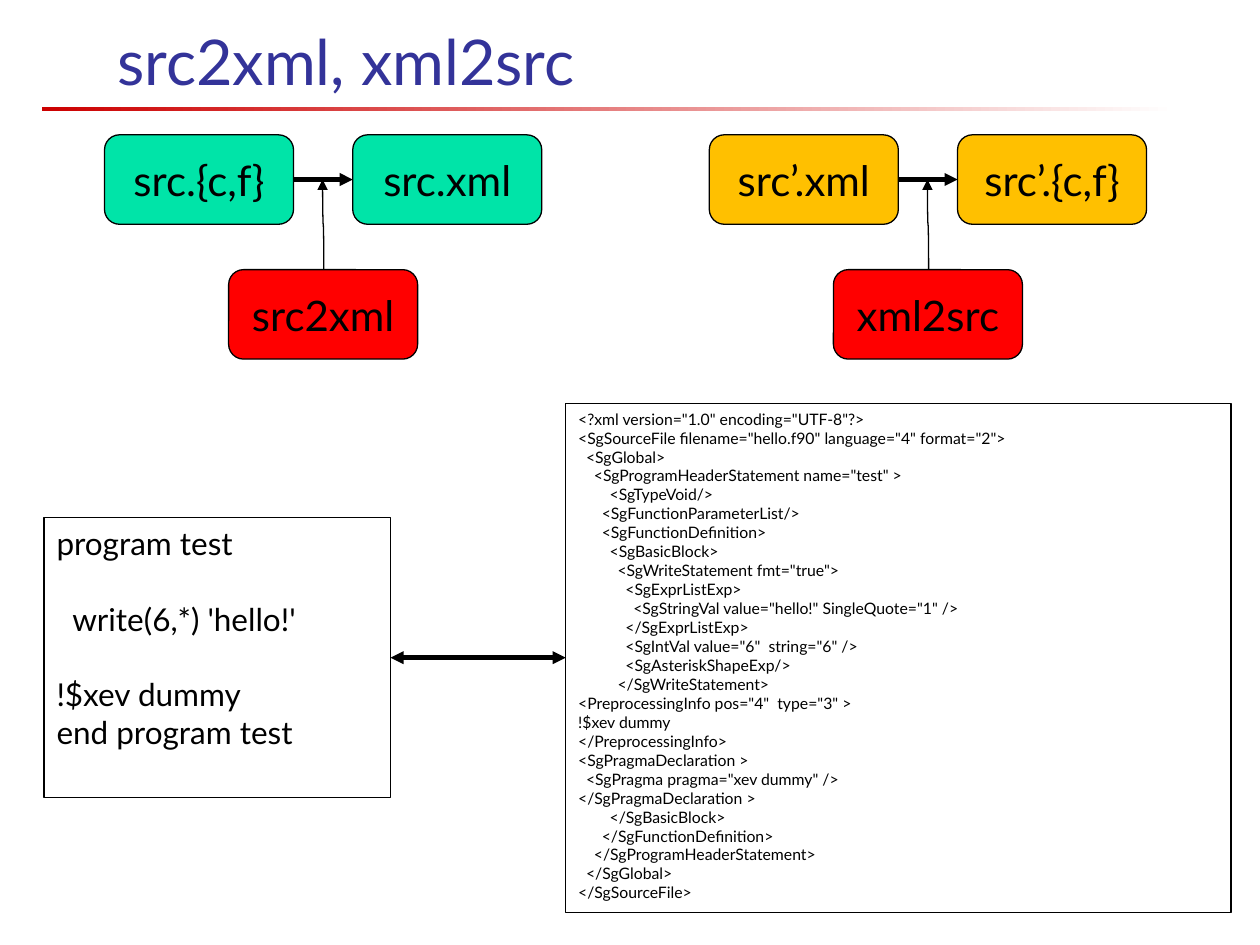
from dataclasses import dataclass

from pptx import Presentation
from pptx.dml.color import RGBColor
from pptx.enum.shapes import MSO_CONNECTOR, MSO_SHAPE
from pptx.enum.text import MSO_ANCHOR, PP_ALIGN
from pptx.oxml.ns import qn
from pptx.util import Inches, Pt
from lxml import etree

STRAIGHT, CURVE = MSO_CONNECTOR.STRAIGHT, MSO_CONNECTOR.CURVE
RECT, ROUNDED = MSO_SHAPE.RECTANGLE, MSO_SHAPE.ROUNDED_RECTANGLE
FONT = "Lato"
COLORS = {
    "title": "333399", "rule": "CC0000", "white": "FFFFFF", "black": "000000",
    "green": "00E4A8", "amber": "FFC000", "red": "FF0000",
}
BOX_W, BOX_H, BOX_STEP = 1.5, 0.71, 1.97
TOP_Y, TOOL_Y = 1.07, 2.14
SPACE_EM = 0.25  # width of a space, relative to the font size
LINE_EM = 1.2    # height of a line, relative to the font size

FORTRAN = """program test

  write(6,*) 'hello!'

!$xev dummy
end program test"""

XML = """<?xml version="1.0" encoding="UTF-8"?>
<SgSourceFile filename="hello.f90" language="4" format="2">
  <SgGlobal>
    <SgProgramHeaderStatement name="test" >
        <SgTypeVoid/>
      <SgFunctionParameterList/>
      <SgFunctionDefinition>
        <SgBasicBlock>
          <SgWriteStatement fmt="true">
            <SgExprListExp>
              <SgStringVal value="hello!" SingleQuote="1" />
            </SgExprListExp>
            <SgIntVal value="6"  string="6" />
            <SgAsteriskShapeExp/>
          </SgWriteStatement>
<PreprocessingInfo pos="4"  type="3" >
!$xev dummy
</PreprocessingInfo>
<SgPragmaDeclaration >
  <SgPragma pragma="xev dummy" />
</SgPragmaDeclaration >
        </SgBasicBlock>
      </SgFunctionDefinition>
    </SgProgramHeaderStatement>
  </SgGlobal>
</SgSourceFile>"""


@dataclass
class Flow:
    left: float
    source: str
    target: str
    tool: str
    color: str


@dataclass
class Listing:
    left: float
    top: float
    width: float
    height: float
    size: float
    code: str


FLOWS = [
    Flow(0.83, "src.{c,f}", "src.xml", "src2xml", "green"),
    Flow(5.63, "src’.xml", "src’.{c,f}", "xml2src", "amber"),
]
LISTINGS = [
    Listing(0.35, 4.11, 2.75, 2.22, 18, FORTRAN),
    Listing(4.49, 3.2, 5.28, 4.04, 9, XML),
]


def rgb(name: str) -> RGBColor:
    return RGBColor.from_string(COLORS[name])


def set_font(p, size: float, color: str = "black") -> None:
    p.font.name, p.font.size = FONT, Pt(size)
    p.font.color.rgb = rgb(color)


def add_outlined(s, kind, left: float, top: float, width: float, height: float):
    sp = s.shapes.add_shape(kind, Inches(left), Inches(top), Inches(width), Inches(height))
    sp.shadow.inherit = False
    sp.line.color.rgb = rgb("black")
    sp.line.width = Pt(0.75)
    return sp


def add_box(s, left: float, top: float, text: str, color: str) -> None:
    sp = add_outlined(s, ROUNDED, left, top, BOX_W, BOX_H)
    sp.fill.solid()
    sp.fill.fore_color.rgb = rgb(color)
    tf = sp.text_frame
    tf.word_wrap = False
    tf.vertical_anchor = MSO_ANCHOR.MIDDLE
    p = tf.paragraphs[0]
    p.text, p.alignment = text, PP_ALIGN.CENTER
    set_font(p, 24)


def add_arrow(s, kind, x1: float, y1: float, x2: float, y2: float,
              width: float, ends: tuple = ("tailEnd",)):
    c = s.shapes.add_connector(kind, Inches(x1), Inches(y1), Inches(x2), Inches(y2))
    c.line.color.rgb = rgb("black")
    c.line.width = Pt(width)
    ln = c.line._get_or_add_ln()
    for end in ends:
        etree.SubElement(ln, qn("a:" + end), type="triangle")
    etree.SubElement(c._element.spPr, qn("a:effectLst"))
    return c


def add_curve_up(s, x: float, bottom: float, top: float) -> None:
    # A horizontal curve turned a quarter to the left
    half, mid = (bottom - top) / 2, (bottom + top) / 2
    c = add_arrow(s, CURVE, x - half, mid + 0.005, x + half, mid - 0.005, 0.75)
    c._element.spPr.find(qn("a:xfrm")).set("rot", str(270 * 60000))


def add_flow(s, flow: Flow) -> None:
    target_x, mid_y = flow.left + BOX_STEP, TOP_Y + BOX_H / 2
    tool_x = flow.left + BOX_STEP / 2
    add_box(s, flow.left, TOP_Y, flow.source, flow.color)
    add_box(s, target_x, TOP_Y, flow.target, flow.color)
    add_arrow(s, STRAIGHT, flow.left + BOX_W, mid_y, target_x, mid_y, 2.5)
    add_box(s, tool_x, TOOL_Y, flow.tool, "red")
    add_curve_up(s, tool_x + BOX_W / 2, TOOL_Y, mid_y)


def add_listing(s, item: Listing) -> None:
    sp = add_outlined(s, RECT, item.left, item.top, item.width, item.height)
    sp.fill.background()
    tf = sp.text_frame
    tf.word_wrap = True
    tf.vertical_anchor = MSO_ANCHOR.TOP
    p, blanks = tf.paragraphs[0], 0
    for i, line in enumerate(item.code.splitlines()):
        text = line.lstrip()
        if not text:
            blanks += 1
            continue
        if i:
            p = tf.add_paragraph()
        p.text, p.alignment = text, PP_ALIGN.LEFT
        set_font(p, item.size)
        # Indents and blank lines become margins and spacing
        indent = Pt((len(line) - len(text)) * SPACE_EM * item.size)
        p._p.get_or_add_pPr().set("marL", str(indent))
        p.space_before = Pt(blanks * LINE_EM * item.size)
        blanks = 0


prs = Presentation()
prs.slide_width, prs.slide_height = Inches(10), Inches(7.5)
s = prs.slides.add_slide(prs.slide_layouts[5])

# Title and the fading rule under it
title = s.shapes.title
title.left, title.top = Inches(0.83), Inches(-0.42)
title.width, title.height = Inches(8.52), Inches(1.25)
title.text_frame.vertical_anchor = MSO_ANCHOR.BOTTOM
p = title.text_frame.paragraphs[0]
p.text, p.alignment = "src2xml, xml2src", PP_ALIGN.LEFT
set_font(p, 36, "title")

rule = s.shapes.add_shape(RECT, Inches(0.33), Inches(0.85), Inches(9), Inches(0.03))
rule.shadow.inherit = False
rule.line.fill.background()
rule.fill.gradient()
rule.fill.gradient_angle = 0
for stop, color in zip(rule.fill.gradient_stops, ("rule", "white")):
    stop.color.rgb = rgb(color)

# Conversion flows
for flow in FLOWS:
    add_flow(s, flow)

# Code listings, joined by a double arrow
for item in LISTINGS:
    add_listing(s, item)
program, tree = LISTINGS
arrow_y = program.top + program.height / 2
add_arrow(s, STRAIGHT, program.left + program.width, arrow_y, tree.left, arrow_y,
          2.5, ("headEnd", "tailEnd"))

prs.save("out.pptx")
